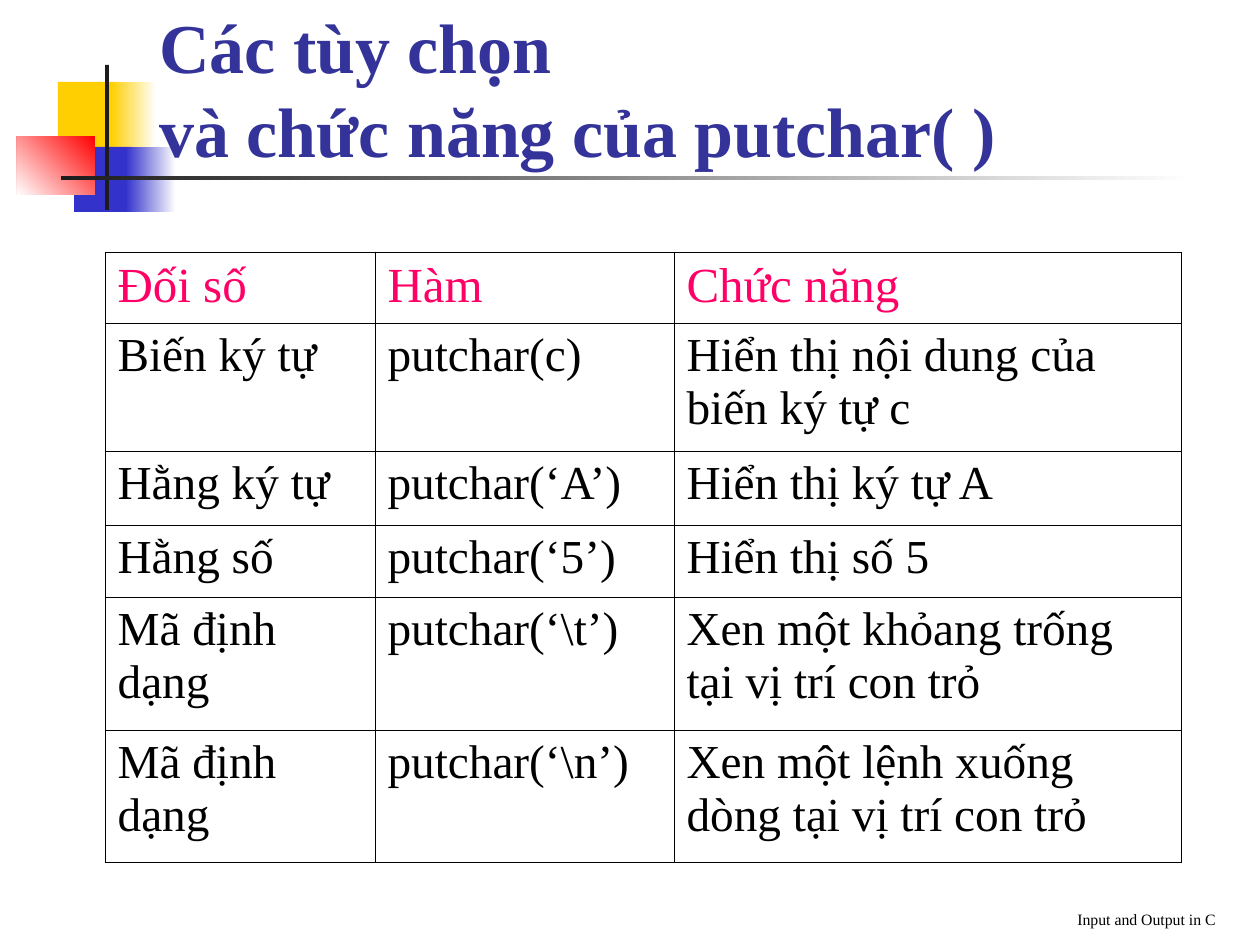
from lxml import etree
from pptx import Presentation
from pptx.dml.color import RGBColor
from pptx.enum.shapes import MSO_SHAPE
from pptx.enum.text import MSO_ANCHOR, PP_ALIGN
from pptx.oxml.ns import qn
from pptx.util import Emu, Pt

RECTANGLE = MSO_SHAPE.RECTANGLE
BOTTOM = MSO_ANCHOR.BOTTOM
LEFT, RIGHT = PP_ALIGN.LEFT, PP_ALIGN.RIGHT
WHITE = RGBColor(0xFF, 0xFF, 0xFF)
BLACK = RGBColor(0, 0, 0)
CHARCOAL = RGBColor(0x1C, 0x1C, 0x1C)
YELLOW = RGBColor(0xFF, 0xCF, 0x01)
BLUE = RGBColor(0x33, 0x33, 0xCC)
RED = RGBColor(0xFF, 0, 0)
NAVY = RGBColor(0x33, 0x33, 0x99)
PINK = RGBColor(0xFF, 0, 0x66)
FONT = "Times New Roman"
PIXEL = 914400 // 126


def px(length):
    return Emu(length * PIXEL)


def write(frame, text, size, color=BLACK, bold=False, align=LEFT):
    paragraph = frame.paragraphs[0]
    paragraph.text = text
    paragraph.alignment = align
    for run in paragraph.runs:
        run.font.name = FONT
        run.font.size = Pt(size)
        run.font.bold = bold
        run.font.color.rgb = color


class Page:
    def __init__(self, slide, border=0.45):
        self.shapes = slide.shapes
        self.border = Pt(border)

    def block(self, box, color, fade_to=None, angle=180):
        block = self.shapes.add_shape(RECTANGLE, *map(px, box))
        block.shadow.inherit = False
        block.line.fill.background()
        if fade_to is None:
            block.fill.solid()
            block.fill.fore_color.rgb = color
            return
        block.fill.gradient()
        block.fill.gradient_angle = angle
        for stop, shade in zip(block.fill.gradient_stops, (color, fade_to)):
            stop.color.rgb = shade
        for stop, position in zip(block.fill.gradient_stops, (0, 1)):
            stop.position = position

    def text(self, box, text, size, **style):
        frame = self.shapes.add_textbox(*map(px, box)).text_frame
        frame.word_wrap = True
        frame.vertical_anchor = BOTTOM
        write(frame, text, size, **style)

    def outline(self, cell):
        properties = cell.fill._xPr
        for index, side in enumerate(("a:lnL", "a:lnR", "a:lnT", "a:lnB")):
            line = etree.Element(qn(side), w=str(self.border))
            solid = etree.SubElement(line, qn("a:solidFill"))
            etree.SubElement(solid, qn("a:srgbClr"), val=str(BLACK))
            properties.insert(index, line)

    def table(self, left, top, widths, heights, rows):
        table = self.shapes.add_table(
            len(heights), len(widths), px(left), px(top),
            px(sum(widths)), px(sum(heights))).table
        table.horz_banding = False
        for column, width in zip(table.columns, widths):
            column.width = px(width)
        for index, (row, height) in enumerate(zip(table.rows, heights)):
            row.height = px(height)
            size, color = (28, PINK) if index == 0 else (27, BLACK)
            for cell, text in zip(row.cells, rows[index]):
                cell.fill.background()
                self.outline(cell)
                write(cell.text_frame, text, size, color=color)


deck = Presentation()
deck.slide_width, deck.slide_height = px(1260), px(945)
page = Page(deck.slides.add_slide(deck.slide_layouts[6]))

page.block((58, 82, 60, 66), YELLOW)
page.block((111, 82, 45, 66), WHITE, fade_to=YELLOW)
page.block((74, 147, 58, 65), BLUE)
page.block((126, 147, 50, 65), WHITE, fade_to=BLUE)
page.block((17, 136, 78, 59), RED, fade_to=WHITE, angle=225)
page.block((105, 65, 4, 145), CHARCOAL)
page.block((61, 176, 1134, 4), WHITE, fade_to=CHARCOAL)

page.text((147, 10, 1000, 168), "Các tùy chọn \vvà chức năng của putchar( )", 40,
          color=NAVY, bold=True)

PUTCHAR_OPTIONS = [
    ("Đối số", "Hàm", "Chức năng"),
    ("Biến ký tự", "putchar(c)", "Hiển thị nội dung của biến ký tự c"),
    ("Hằng ký tự", "putchar(‘A’)", "Hiển thị ký tự A"),
    ("Hằng số", "putchar(‘5’)", "Hiển thị số 5"),
    ("Mã định dạng", "putchar(‘\\t’)", "Xen một khỏang trống tại vị trí con trỏ"),
    ("Mã định dạng", "putchar(‘\\n’)", "Xen một lệnh xuống dòng tại vị trí con trỏ"),
]
page.table(105, 252, (270, 299, 507), (71, 128, 74, 72, 133, 132), PUTCHAR_OPTIONS)

page.text((462, 872, 766, 63), "Input and Output in C", 9, align=RIGHT)

deck.save("out.pptx")
